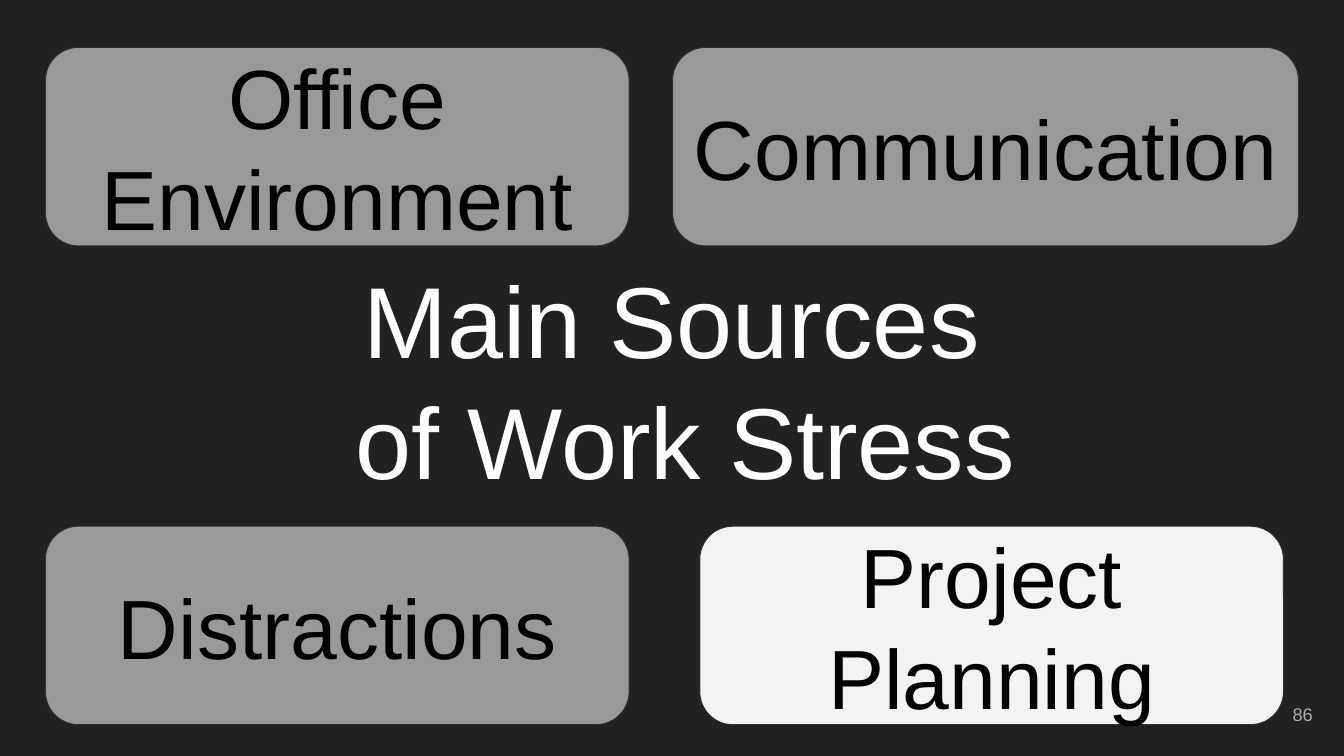
from dataclasses import dataclass

import pptx
import pptx.dml.color
import pptx.enum.shapes
import pptx.enum.text
import pptx.util

Inches = pptx.util.Inches
Align = pptx.enum.text.PP_ALIGN


@dataclass(frozen=True)
class Theme:
    font: str = "Arial"
    background: str = "212121"
    title: str = "FFFFFF"
    number: str = "ADADAD"
    card_text: str = "000000"
    card: str = "999999"
    highlight: str = "F3F3F3"
    outline: str = "303030"
    outline_width: float = 0.75
    title_size: int = 72
    card_size: int = 60
    number_size: int = 13


THEME = Theme()
SLIDE_WIDTH, SLIDE_HEIGHT = 13.33, 7.5
LEFT_MARGIN = 0.45
CARD_WIDTH, CARD_HEIGHT = 5.79, 1.97
TOP_ROW, BOTTOM_ROW = 0.47, 5.22


def color(value):
    return pptx.dml.color.RGBColor.from_string(value)


def write_text(shape, lines, size, text_color, alignment, inset):
    frame = shape.text_frame
    frame.word_wrap = True
    frame.auto_size = pptx.enum.text.MSO_AUTO_SIZE.NONE
    frame.vertical_anchor = pptx.enum.text.MSO_ANCHOR.MIDDLE
    frame.margin_left = frame.margin_right = Inches(inset)
    frame.margin_top = frame.margin_bottom = Inches(inset)
    for index, line in enumerate(lines):
        paragraph = frame.add_paragraph() if index else frame.paragraphs[0]
        paragraph.alignment = alignment
        run = paragraph.add_run()
        run.text = line
        run.font.name = THEME.font
        run.font.size = pptx.util.Pt(size)
        run.font.color.rgb = color(text_color)


def set_title(slide, lines):
    title = slide.shapes.title
    title.left, title.top = Inches(LEFT_MARGIN), Inches(3.14)
    title.width, title.height = Inches(12.42), Inches(1.23)
    write_text(title, lines, THEME.title_size, THEME.title, Align.CENTER, 0.13)


def add_page_number(slide, number):
    box = slide.shapes.add_textbox(
        Inches(12.35), Inches(6.8), Inches(0.8), Inches(0.57))
    write_text(box, [number], THEME.number_size, THEME.number, Align.RIGHT, 0.13)


def add_card(slide, label, left, top, width=CARD_WIDTH, fill=THEME.card):
    card = slide.shapes.add_shape(
        pptx.enum.shapes.MSO_SHAPE.ROUNDED_RECTANGLE,
        Inches(left), Inches(top), Inches(width), Inches(CARD_HEIGHT))
    card.shadow.inherit = False
    card.fill.solid()
    card.fill.fore_color.rgb = color(fill)
    card.line.color.rgb = color(THEME.outline)
    card.line.width = pptx.util.Pt(THEME.outline_width)
    write_text(card, [label], THEME.card_size, THEME.card_text, Align.CENTER, 0.1)


def main():
    presentation = pptx.Presentation()
    presentation.slide_width = Inches(SLIDE_WIDTH)
    presentation.slide_height = Inches(SLIDE_HEIGHT)
    slide = presentation.slides.add_slide(
        presentation.slide_layouts.get_by_name("Title Only"))
    slide.background.fill.solid()
    slide.background.fill.fore_color.rgb = color(THEME.background)

    set_title(slide, ["Main Sources", " of Work Stress"])
    add_page_number(slide, "86")
    add_card(slide, "Office Environment", LEFT_MARGIN, TOP_ROW)
    add_card(slide, "Communication", 6.67, TOP_ROW, width=6.21)
    add_card(slide, "Distractions", LEFT_MARGIN, BOTTOM_ROW)
    add_card(slide, "Project Planning", 6.94, BOTTOM_ROW, fill=THEME.highlight)
    presentation.save("out.pptx")


if __name__ == "__main__":
    main()
